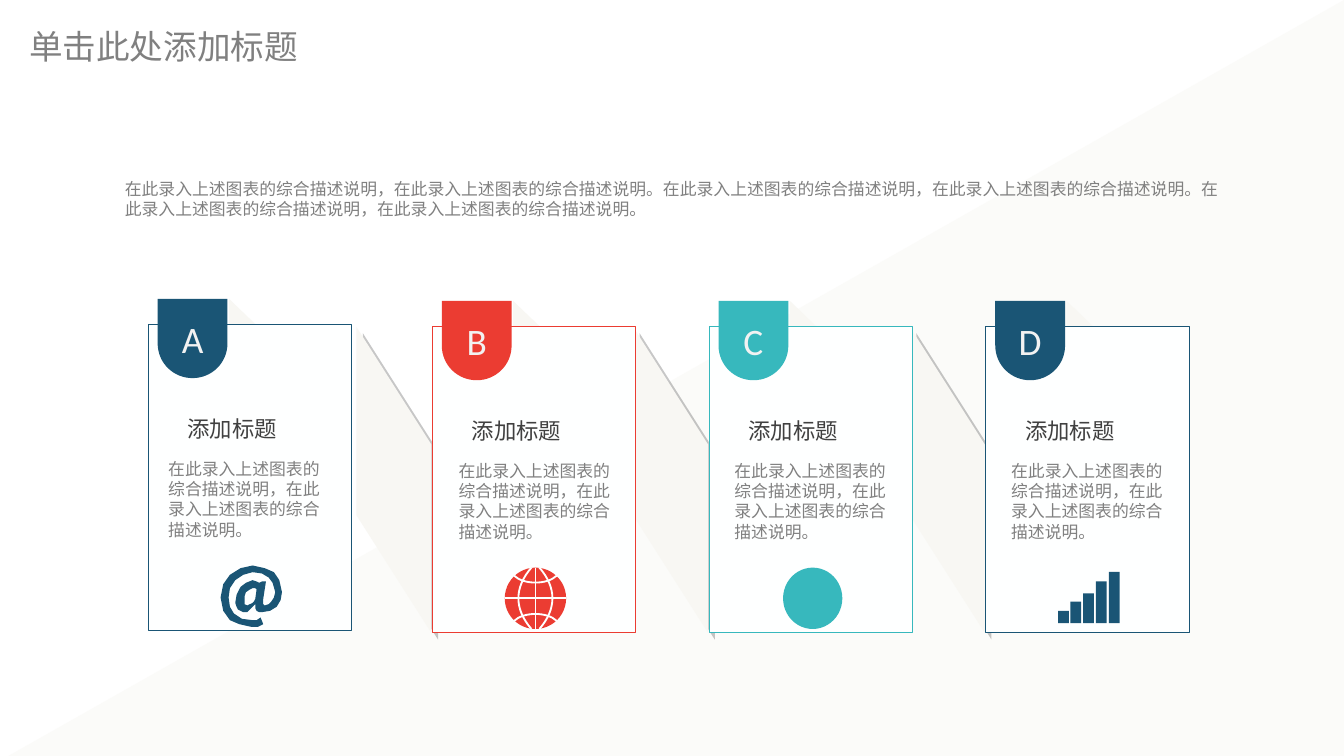
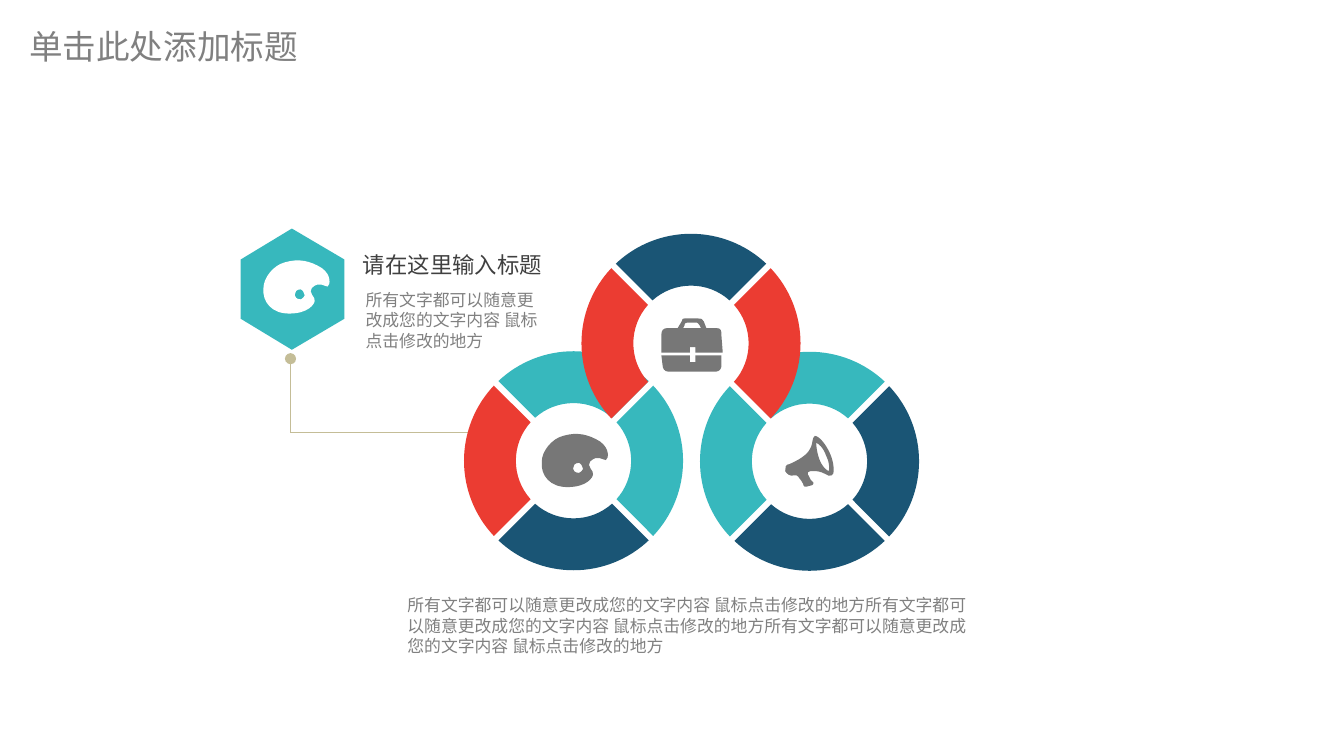
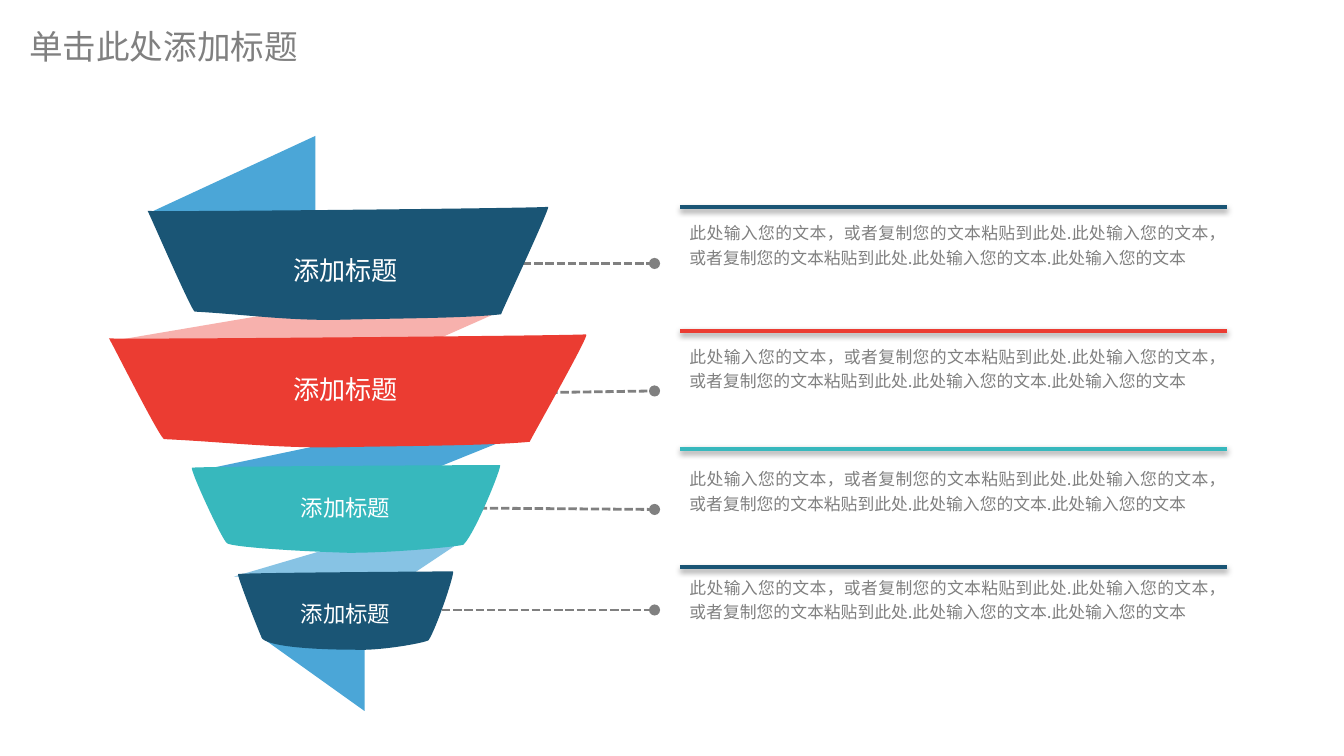
import math

from lxml import etree
from pptx import Presentation
from pptx import util as u
from pptx.dml.color import RGBColor
from pptx.enum import shapes, text
from pptx.oxml import ns

COLOURS = {
    "navy": "1A5575", "red": "EB3C32", "teal": "37B8BD", "blue": "4BA6D7",
    "pale_blue": "87C3E4", "pink": "F7B1AD", "grey": "808080", "icon": "777777",
    "dark": "404040", "light": "F2F2F2", "white": "FFFFFF", "card": "FEFFFF",
    "cream": "F8F7F3", "beige": "EEECE1", "sand": "C4BD97", "black": "000000",
}
NOTO = "Noto Sans CJK SC"
TIGHT = (0.18, 0.1)
SHAPE = shapes.MSO_SHAPE
ALIGN = text.PP_ALIGN

# Outlines: a pair is a straight step, six numbers are a Bezier step
BADGE = [[(0, 0), (52, 0), (52, 33), (52, 48, 40, 59, 26, 59), (12, 59, 0, 48, 0, 33)]]
HEXAGON = [[(0, 67), (38, 90), (77, 67), (77, 23), (38, 0), (0, 23)]]
AT_SIGN = [
    [(31, 12), (34, 12), (32, 25), (32, 29), (33, 30), (36, 29), (38, 27), (40, 24),
     (41, 20), (39, 13), (36, 9), (31, 6), (24, 5), (17, 7), (11, 11), (7, 17), (6, 24),
     (7, 31), (10, 36), (16, 40), (24, 41), (27, 41), (30, 39), (32, 44), (28, 46),
     (23, 46), (14, 44), (7, 41), (2, 34), (0, 24), (2, 14), (7, 7), (15, 2), (24, 0),
     (33, 2), (40, 5), (44, 11), (46, 20), (45, 26), (42, 31), (37, 34), (31, 35),
     (29, 35), (27, 34), (26, 32), (26, 29), (24, 31), (22, 33), (20, 35), (17, 35),
     (15, 34), (13, 33), (12, 31), (11, 28), (12, 22), (15, 16), (19, 13), (24, 11),
     (27, 12), (29, 13)],
    [(27, 18), (26, 17), (24, 17), (22, 18), (19, 20), (18, 23), (18, 29), (20, 30),
     (22, 29), (24, 28), (25, 27), (26, 25)],
]
GLOBE_LINES = [
    [(0, 23), (46, 23)], [(23, 0), (23, 46)],
    [(7, 6), (14, 13, 32, 13, 39, 6)], [(7, 40), (14, 33, 32, 33, 39, 40)],
    [(20, 0), (7, 15, 7, 31, 20, 46)], [(26, 0), (39, 15, 39, 31, 26, 46)],
]
PALETTE = [
    [(42, 7), (34, 2, 26, 0, 16, 3), (8, 5, 1, 14, 1, 21), (0, 31, 7, 39, 19, 39),
     (33, 39, 37, 32, 37, 30), (38, 28, 32, 24, 35, 21), (40, 16, 44, 20, 46, 20),
     (48, 19, 49, 12, 42, 7)],
    [(27, 29), (24, 29, 23, 27, 23, 26), (23, 24, 24, 22, 27, 22),
     (28, 22, 30, 24, 30, 26), (30, 27, 28, 29, 27, 29)],
]
BRIEFCASE = [
    [(21, 21), (25, 21), (25, 25), (45, 25), (44, 12), (44, 9, 44, 7, 40, 7), (33, 7),
     (31, 2), (30, 0, 29, 0, 27, 0), (17, 0), (16, 0, 15, 0, 15, 2), (12, 7), (5, 7),
     (1, 7, 0, 9, 0, 12), (0, 25), (21, 25)],
    [(17, 5), (17, 4, 17, 3, 19, 3), (26, 3), (27, 3, 27, 4, 28, 5), (29, 7), (16, 7)],
    [(25, 32), (21, 32), (21, 27), (0, 27), (1, 35), (1, 36, 2, 39, 5, 39), (40, 39),
     (43, 39, 44, 36, 44, 35), (44, 27), (25, 27)],
]
MEGAPHONE = [
    [(32, 13), (29, 6, 24, 0, 21, 0), (17, 3, 24, 11, 3, 20), (0, 20, 0, 23, 0, 25),
     (1, 27, 4, 29, 6, 28), (8, 28), (9, 30, 10, 28, 10, 30), (11, 31, 13, 34, 13, 35),
     (13, 35, 14, 37, 15, 36), (19, 35), (20, 35, 20, 34, 20, 33),
     (20, 32, 18, 32, 18, 31), (17, 30, 17, 28, 16, 27), (15, 26, 17, 25, 18, 25),
     (28, 24, 30, 30, 33, 28), (35, 28, 35, 20, 32, 13)],
    [(31, 25), (30, 25, 26, 22, 24, 16), (22, 10, 22, 5, 22, 5), (23, 5, 27, 8, 29, 14),
     (32, 20, 31, 24, 31, 25)],
]
SIGNAL_BARS = [
    [(x, 38 - height), (x + 8, 38 - height), (x + 8, 38), (x, 38)]
    for x, height in zip((0, 9, 18.5, 28, 37.5), (9, 16, 22, 31, 38))
]

# Funnel parts from back to front: left, top, width, colour, outline
FUNNEL = [
    (4.93, 12.04, 1.96, "blue", [(0, 0), (77, 55), (77, 0)]),
    (2.84, 2.57, 3.12, "blue", [(0, 57), (123, 0), (123, 57)]),
    (4.42, 10.19, 4.37, "pale_blue", [(0, 28), (95, 0), (172, 0), (127, 30)]),
    (3.66, 8.18, 5.92, "blue", [(0, 29), (138, 0), (233, 5), (176, 28)]),
    (2.08, 5.69, 7.42, "pink", [(0, 30), (177, 0), (292, 7), (222, 38)]),
    (2.06, 6.32, 9.02, "red",
     [(0, 3), (0, 4, 352, 1, 355, 0), (358, 0, 313, 79, 313, 80),
      (281, 83, 219, 83, 172, 84), (125, 85, 85, 80, 41, 78), (37, 76, 0, 2, 0, 3)]),
    (3.63, 8.79, 5.82, "teal",
     [(1, 2), (2, 1, 227, 0, 229, 0), (231, 0, 211, 50, 202, 59),
      (201, 60, 153, 65, 117, 65), (82, 64, 32, 61, 27, 58), (24, 57, -1, 3, 1, 2)]),
    (4.5, 10.8, 4.06, "navy",
     [(0, 2), (1, 1, 158, 0, 159, 0), (161, 0, 147, 42, 141, 51),
      (138, 53, 105, 59, 86, 58), (68, 58, 26, 57, 18, 50), (17, 49, -1, 3, 0, 2)]),
    (2.79, 3.91, 7.57, "navy",
     [(0, 3), (1, 4, 296, 1, 298, 0), (300, 0, 263, 79, 263, 80),
      (236, 83, 184, 83, 145, 84), (105, 85, 72, 80, 35, 78), (32, 76, 0, 2, 0, 3)]),
]


def rgb(name):
    return RGBColor.from_string(COLOURS[name])


def sub(parent, tag, **attributes):
    return etree.SubElement(parent, ns.qn(tag), attributes)


def write_text(frame, value, size=9, colour="grey", font=NOTO, align=ALIGN.LEFT,
               anchor=text.MSO_ANCHOR.TOP, wrap=True, insets=(0.25, 0.13),
               spacing=None, fit=text.MSO_AUTO_SIZE.SHAPE_TO_FIT_TEXT):
    frame.word_wrap = wrap
    frame.auto_size = fit
    frame.vertical_anchor = anchor
    frame.margin_left = frame.margin_right = u.Cm(insets[0])
    frame.margin_top = frame.margin_bottom = u.Cm(insets[1])
    paragraph = frame.paragraphs[0]
    paragraph.alignment = align
    paragraph.line_spacing = spacing
    run = paragraph.add_run()
    run.text = value
    run.font.size = u.Pt(size)
    run.font.name = font
    run.font.color.rgb = rgb(colour)
    sub(run._r.get_or_add_rPr(), "a:ea", typeface=NOTO)


def add_text(slide, value, left, top, width, height, **style):
    box = slide.shapes.add_textbox(*map(u.Cm, (left, top, width, height)))
    write_text(box.text_frame, value, **style)


def add_shape(slide, kind, left, top, width, height, fill, line=None):
    shape = slide.shapes.add_shape(kind, *map(u.Cm, (left, top, width, height)))
    return paint(shape, fill, line, 0.25)


def paint(shape, fill, line=None, weight=1):
    shape.shadow.inherit = False
    if fill:
        shape.fill.solid()
        shape.fill.fore_color.rgb = rgb(fill)
    else:
        shape.fill.background()
    if line:
        shape.line.color.rgb = rgb(line)
        shape.line.width = u.Pt(weight)
    else:
        shape.line.fill.background()
    return shape


def add_shadow(shape, alpha, blur, distance, angle):
    properties = shape._element.spPr
    effects = properties.find(ns.qn("a:effectLst"))
    shadow = sub(effects, "a:outerShdw", blurRad=str(u.Pt(blur)), dist=str(u.Pt(distance)),
                 dir=str(angle * 60000), algn="tl", rotWithShape="0")
    colour = sub(shadow, "a:srgbClr", val=COLOURS["black"])
    sub(colour, "a:alpha", val=str(alpha * 1000))


def add_line(slide, start, end, colour, weight, dash=None, head=None, tail=None):
    line = slide.shapes.add_connector(
        shapes.MSO_CONNECTOR.STRAIGHT, *map(u.Cm, (*start, *end)))
    line.line.color.rgb = rgb(colour)
    line.line.width = u.Pt(weight)
    properties = line._element.spPr
    outline = properties.find(ns.qn("a:ln"))
    if dash:
        sub(outline, "a:prstDash", val=dash)
    if head:
        sub(outline, "a:headEnd", type=head)
    if tail:
        sub(outline, "a:tailEnd", type=tail)
    sub(properties, "a:effectLst")
    return line


def add_contours(slide, contours, fill, line=None):
    """Draw one freeform from contours in centimetres."""
    builder = None
    for contour in contours:
        points = [(u.Cm(step[-2]), u.Cm(step[-1])) for step in contour]
        if builder is None:
            builder = slide.shapes.build_freeform(*points[0], scale=1.0)
        else:
            builder.move_to(*points[0])
        builder.add_line_segments(points[1:], close=fill is not None)
    shape = builder.convert_to_shape()
    # Bend the straight steps that have control points
    segments = list(shape._element.iter(ns.qn("a:lnTo")))
    steps = [step for contour in contours for step in contour[1:]]
    for segment, step in zip(segments, steps):
        if len(step) == 6:
            curve = etree.Element(ns.qn("a:cubicBezTo"))
            for x, y in zip(step[::2], step[1::2]):
                sub(curve, "a:pt", x=str(u.Cm(x) - shape.left), y=str(u.Cm(y) - shape.top))
            segment.getparent().replace(segment, curve)
    return paint(shape, fill, line)


def add_outline(slide, contours, left, top, width, fill, line=None):
    """Scale an outline to a width and put its corner at left, top."""
    xs, ys = zip(*(step[-2:] for contour in contours for step in contour))
    scale = width / (max(xs) - min(xs))
    origin = (left - min(xs) * scale, top - min(ys) * scale)
    placed = [[tuple(origin[i % 2] + value * scale for i, value in enumerate(step))
               for step in contour] for contour in contours]
    return add_contours(slide, placed, fill, line)


def add_titled_slide(presentation):
    slide = presentation.slides.add_slide(presentation.slide_layouts[5])
    title = slide.shapes.title
    title.left, title.top, title.width, title.height = map(u.Cm, (0.3, 0.36, 5.64, 1.02))
    write_text(title.text_frame, "单击此处添加标题", size=18, font="Calibri", wrap=False)
    return slide


# Slide 1: four lettered cards
def add_globe(slide, left, top, width, colour):
    add_shape(slide, SHAPE.OVAL, left, top, width, width, colour)
    add_outline(slide, GLOBE_LINES, left, top, width, None, "card")


def add_card(slide, left, top, letter, colour, text_shift, icon):
    add_shape(slide, SHAPE.RIGHT_TRIANGLE, left + 1.53, top - 0.48, 0.5, 0.48, "cream")
    add_shape(slide, SHAPE.RECTANGLE, left, top, 3.84, 5.79, "card", colour)
    badge = add_outline(slide, BADGE, left + 0.18, top - 0.48, 1.32, colour)
    write_text(badge.text_frame, letter, size=20, colour="light", font="Calibri",
               align=ALIGN.CENTER, anchor=text.MSO_ANCHOR.MIDDLE,
               fit=text.MSO_AUTO_SIZE.NONE)
    add_text(slide, "添加标题", left + 0.45, top + 1.58, 2.24, 0.76, size=12,
             colour="dark", align=ALIGN.RIGHT, wrap=False)
    add_text(slide, "在此录入上述图表的综合描述说明，在此录入上述图表的综合描述说明。",
             left + text_shift, top + 2.41, 3.56, 2.18)
    icon_left, icon_top = left + 1.37, top + 4.56
    if icon == "globe":
        add_globe(slide, icon_left, icon_top, 1.16, colour)
    elif icon == "disc":
        add_shape(slide, SHAPE.OVAL, icon_left + 0.03, icon_top, 1.12, 1.16, colour)
    elif icon == "bars":
        add_outline(slide, SIGNAL_BARS, icon_left, icon_top + 0.08, 1.16, colour)
    else:
        add_outline(slide, AT_SIGN, icon_left, icon_top, 1.16, colour)


def build_cards(presentation):
    slide = add_titled_slide(presentation)
    backdrop = add_shape(slide, SHAPE.ISOSCELES_TRIANGLE, 0, 0, 25.4, 14.38, "beige")
    backdrop.adjustments[0] = 1
    colour = backdrop._element.spPr.find(".//" + ns.qn("a:srgbClr"))
    sub(colour, "a:alpha", val="20000")

    pitch = 5.23
    for i in range(3):
        fold = add_shape(slide, SHAPE.PARALLELOGRAM, 4.55 + i * pitch, 8.36, 5.79, 1.42,
                         "cream")
        fold.adjustments[0] = 1.57
        fold.rotation = 270
        add_shadow(fold, 22, 0, 5, 45)

    sentence = "在此录入上述图表的综合描述说明，在此录入上述图表的综合描述说明。"
    add_text(slide, sentence * 3, 2.18, 3.28, 21.13, 1.73, insets=TIGHT)
    add_card(slide, 2.8, 6.13, "A", "navy", 0.13, "at")
    others = [("B", "red", 0.25, "globe"), ("C", "teal", 0.23, "disc"),
              ("D", "navy", 0.23, "bars")]
    for i, card in enumerate(others):
        add_card(slide, 8.17 + i * pitch, 6.17, *card)


# Slide 2: three segmented rings
def arc_steps(x, y, radius, start, end):
    """Return the first point and two Bezier steps of an arc in degrees."""
    def at(angle, along=0):
        cosine, sine = math.cos(angle), math.sin(angle)
        return (x + radius * (cosine - along * sine), y + radius * (sine + along * cosine))

    first, last = math.radians(start), math.radians(end)
    middle = (first + last) / 2
    handle = 4 / 3 * math.tan((middle - first) / 4)
    return [at(first)] + [
        (*at(a, handle), *at(b, -handle), *at(b))
        for a, b in ((first, middle), (middle, last))]


def add_ring(slide, x, y, colours, outer=2.07, inner=1.09, half_gap=0.06):
    """Colours run clockwise from the right; None leaves a segment out."""
    for quarter, colour in enumerate(colours):
        if colour is None:
            continue
        contour = []
        for radius, direction in ((outer, 1), (inner, -1)):
            reach = direction * (45 - math.degrees(math.asin(half_gap / radius)))
            centre = quarter * 90
            contour += arc_steps(x, y, radius, centre - reach, centre + reach)
        add_contours(slide, [contour], colour)


def add_callout(slide, left, top):
    corner = (left + 0.94, top + 3.86)
    add_line(slide, (left + 4.29, corner[1]), corner, "sand", 0.75)
    add_line(slide, corner, (corner[0], top + 2.46), "sand", 0.75, tail="oval")
    add_outline(slide, HEXAGON, left, top, 1.96, "teal")
    add_outline(slide, PALETTE, left + 0.43, top + 0.64, 1.21, "white")
    add_text(slide, "请在这里输入标题", left + 2.13, top + 0.33, 4.83, 0.79, size=12,
             colour="dark", font="Roboto Condensed", insets=TIGHT,
             fit=text.MSO_AUTO_SIZE.NONE)
    add_text(slide, "所有文字都可以随意更改成您的文字内容 鼠标点击修改的地方",
             left + 2.18, top + 1.06, 3.76, 1.35, insets=TIGHT)


def build_rings(presentation):
    slide = add_titled_slide(presentation)
    add_callout(slide, 4.55, 4.32)
    add_text(slide, "所有文字都可以随意更改成您的文字内容 鼠标点击修改的地方" * 3,
             7.7, 11.25, 10.74, 1.4, insets=(0, 0), fit=text.MSO_AUTO_SIZE.NONE)
    add_ring(slide, 15.3, 8.72, ("navy", "navy", "teal", "teal"))
    add_ring(slide, 10.84, 8.71, ("teal", "navy", "red", "teal"))
    add_ring(slide, 13.06, 6.49, ("red", None, "red", "navy"))
    add_outline(slide, PALETTE, 10.24, 8.24, 1.21, "icon")
    add_outline(slide, BRIEFCASE, 12.5, 6.02, 1.16, "icon")
    add_outline(slide, MEGAPHONE, 14.84, 8.24, 0.88, "icon")


# Slide 3: spiral funnel with notes
def add_note(slide, left, rule_top, text_top, colour):
    sentence = "此处输入您的文本，或者复制您的文本粘贴到此处."
    add_text(slide, sentence * 2 + "此处输入您的文本.此处输入您的文本", left, text_top,
             10.49, 1.12, align=ALIGN.JUSTIFY, spacing=1.2, insets=TIGHT)
    rule = add_line(slide, (left, rule_top), (left + 10.34, rule_top), colour, 2)
    add_shadow(rule, 38, 3.1, 1.6, 90)


def build_funnel(presentation):
    slide = add_titled_slide(presentation)
    for x, y, end_y in ((9.58, 4.98, 4.98), (10.29, 7.42, 7.39),
                        (8.53, 9.6, 9.63), (8.05, 11.53, 11.53)):
        add_line(slide, (x, y), (12.37, end_y), "grey", 1.5, "sysDash", "oval", "oval")
    for left, top, width, colour, contour in FUNNEL:
        add_outline(slide, [contour], left, top, width, colour)
    for top, size in ((4.7, 14), (6.96, 14), (9.25, 12), (11.25, 12)):
        width = 2.39 if size == 14 else 2.08
        add_text(slide, "添加标题", 6.53 - width / 2, top, width, 0.75, size=size,
                 colour="white", align=ALIGN.CENTER, wrap=False, insets=TIGHT)
    for rule_top, text_top, colour in ((3.91, 4.04, "navy"), (6.25, 6.38, "red"),
                                       (8.48, 8.69, "teal"), (10.72, 10.74, "navy")):
        add_note(slide, 12.85, rule_top, text_top, colour)


def main():
    presentation = Presentation()
    presentation.slide_width = u.Cm(25.4)
    presentation.slide_height = u.Cm(14.29)
    build_cards(presentation)
    build_rings(presentation)
    build_funnel(presentation)
    presentation.save("out.pptx")


if __name__ == "__main__":
    main()
